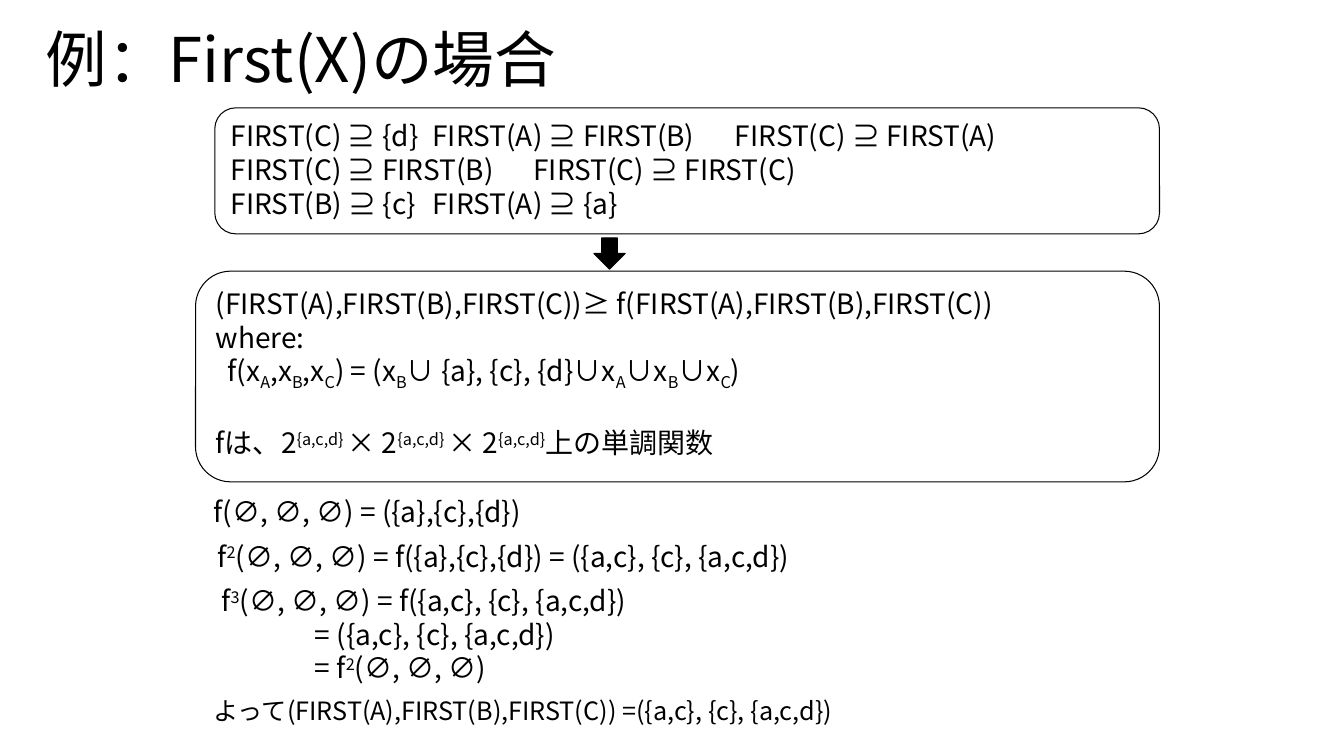
from dataclasses import dataclass

from lxml.etree import SubElement
from pptx import Presentation
from pptx.dml.color import RGBColor
from pptx.enum.shapes import MSO_SHAPE as Preset
from pptx.enum.text import MSO_ANCHOR as Anchor, MSO_AUTO_SIZE as AutoSize, PP_ALIGN as Align
from pptx.oxml.ns import qn
from pptx.util import Inches, Pt


@dataclass(frozen=True)
class Theme:
    """Colours, font and type sizes of the slide."""
    ink: RGBColor = RGBColor(0, 0, 0)
    paper: RGBColor = RGBColor(255, 255, 255)
    font: str = "Noto Sans CJK JP"
    title: int = 44
    body: int = 20
    conclusion: int = 18
    outline: float = 0.75


@dataclass(frozen=True)
class Line:
    """A paragraph whose parts are split by |, with _ for subscript and ^ for superscript."""
    text: str
    indent: float = 0
    tabs: tuple = ()
    before: int = 0


THEME = Theme()
WIDTH, HEIGHT = Inches(13.33), Inches(7.5)
BASELINES = {"_": "-25000", "^": "30000"}

CONSTRAINTS = [
    Line("FIRST(C) ⊇ {d}\tFIRST(A) ⊇ FIRST(B)\tFIRST(C) ⊇ FIRST(A)", tabs=(15.75, 36.6)),
    Line("FIRST(C) ⊇ FIRST(B)\tFIRST(C) ⊇ FIRST(C)", tabs=(20.9,)),
    Line("FIRST(B) ⊇ {c}\tFIRST(A) ⊇ {a}", tabs=(15.6,)),
]
FUNCTION = [
    Line("(FIRST(A),FIRST(B),FIRST(C))≥ f(FIRST(A),FIRST(B),FIRST(C))"),
    Line("where:"),
    Line("f(x|_A|,x|_B|,x|_C|) = (x|_B|∪ {a}, {c}, {d}∪x|_A|∪x|_B|∪x|_C|)", indent=0.9),
    Line("fは、2|^{a,c,d} |× 2|^{a,c,d} |× 2|^{a,c,d}|上の単調関数", before=24),
]
ITERATIONS = [
    (25.2, 5.87, [Line("f(∅, ∅, ∅) = ({a},{c},{d})")]),
    (46.66, 5.87, [Line("f|^2|(∅, ∅, ∅) = f({a},{c},{d}) = ({a,c}, {c}, {a,c,d})")]),
    (67.89, 14.8, [
        Line("f|^3|(∅, ∅, ∅) = f({a,c}, {c}, {a,c,d})"),
        Line("= ({a,c}, {c}, {a,c,d})", indent=6.95),
        Line("= f|^2|(∅, ∅, ∅)", indent=6.95),
    ]),
]
CONCLUSION = [Line("よって(FIRST(A),FIRST(B),FIRST(C)) =({a,c}, {c}, {a,c,d})")]


def across(percent):
    """Return a share of the slide's width."""
    return int(WIDTH * percent / 100)


def down(percent):
    """Return a share of the slide's height."""
    return int(HEIGHT * percent / 100)


def frame(left, top, width, height):
    """Turn percentages of the slide into a position and size."""
    return across(left), down(top), across(width), down(height)


def style_run(run, size):
    """Set the font, size and colour of a run."""
    run.font.size = Pt(size)
    run.font.color.rgb = THEME.ink
    run.font.name = THEME.font
    for script in ("a:ea", "a:cs"):
        SubElement(run.font._element, qn(script)).set("typeface", THEME.font)


def write_line(paragraph, line, size):
    """Fill one paragraph with its runs, indent and tab stops."""
    paragraph.alignment = Align.LEFT
    paragraph.space_before = Pt(line.before)
    properties = paragraph._p.get_or_add_pPr()
    properties.set("marL", str(across(line.indent)))
    properties.set("indent", "0")
    if line.tabs:
        stops = SubElement(properties, qn("a:tabLst"))
        for tab in line.tabs:
            SubElement(stops, qn("a:tab"), pos=str(across(tab)), algn="l")
    for part in line.text.split("|"):
        run = paragraph.add_run()
        baseline = BASELINES.get(part[0])
        run.text = part[1:] if baseline else part
        style_run(run, size)
        if baseline:
            run.font._element.set("baseline", baseline)


def write_lines(shape, lines, size):
    """Write wrapped paragraphs from the top of a shape."""
    text_frame = shape.text_frame
    text_frame.word_wrap = True
    text_frame.vertical_anchor = Anchor.TOP
    for number, line in enumerate(lines):
        paragraph = text_frame.add_paragraph() if number else text_frame.paragraphs[0]
        write_line(paragraph, line, size)


def add_title(slide, text, area):
    """Place and format the title placeholder."""
    title = slide.shapes.title
    title.left, title.top, title.width, title.height = area
    text_frame = title.text_frame
    text_frame.text = text
    text_frame.auto_size = AutoSize.NONE
    text_frame.vertical_anchor = Anchor.MIDDLE
    paragraph = text_frame.paragraphs[0]
    paragraph.alignment = Align.LEFT
    paragraph.line_spacing = 0.9
    style_run(paragraph.runs[0], THEME.title)


def add_preset(slide, preset, area, fill):
    """Add an outlined preset shape without shadow."""
    shape = slide.shapes.add_shape(preset, *area)
    shape.shadow.inherit = False
    shape.fill.solid()
    shape.fill.fore_color.rgb = fill
    shape.line.color.rgb = THEME.ink
    shape.line.width = Pt(THEME.outline)
    return shape


def add_panel(slide, lines, area):
    """Add a rounded panel holding formulas."""
    write_lines(add_preset(slide, Preset.ROUNDED_RECTANGLE, area, THEME.paper), lines, THEME.body)


def add_formula(slide, lines, area, size):
    """Add a free text box holding formulas."""
    write_lines(slide.shapes.add_textbox(*area), lines, size)


def main():
    """Build the slide and save it."""
    presentation = Presentation()
    presentation.slide_width, presentation.slide_height = WIDTH, HEIGHT
    slide = presentation.slides.add_slide(presentation.slide_layouts[5])
    add_title(slide, "例：First(X)の場合", frame(2.63, 0, 96.32, 16.67))
    add_panel(slide, CONSTRAINTS, frame(15.98, 14.27, 70.29, 16.67))
    add_preset(slide, Preset.DOWN_ARROW, frame(44.19, 31.47, 2.33, 4.13), THEME.ink)
    add_panel(slide, FUNCTION, frame(14.55, 35.87, 71.72, 27.87))
    for step, (width, height, lines) in enumerate(ITERATIONS):
        area = frame(15.15 + 0.3 * step, 64.8 + 5.87 * step, width, height)
        add_formula(slide, lines, area, THEME.body)
    add_formula(slide, CONCLUSION, frame(15.15, 91.33, 51.3, 5.4), THEME.conclusion)
    presentation.save("out.pptx")


if __name__ == "__main__":
    main()
